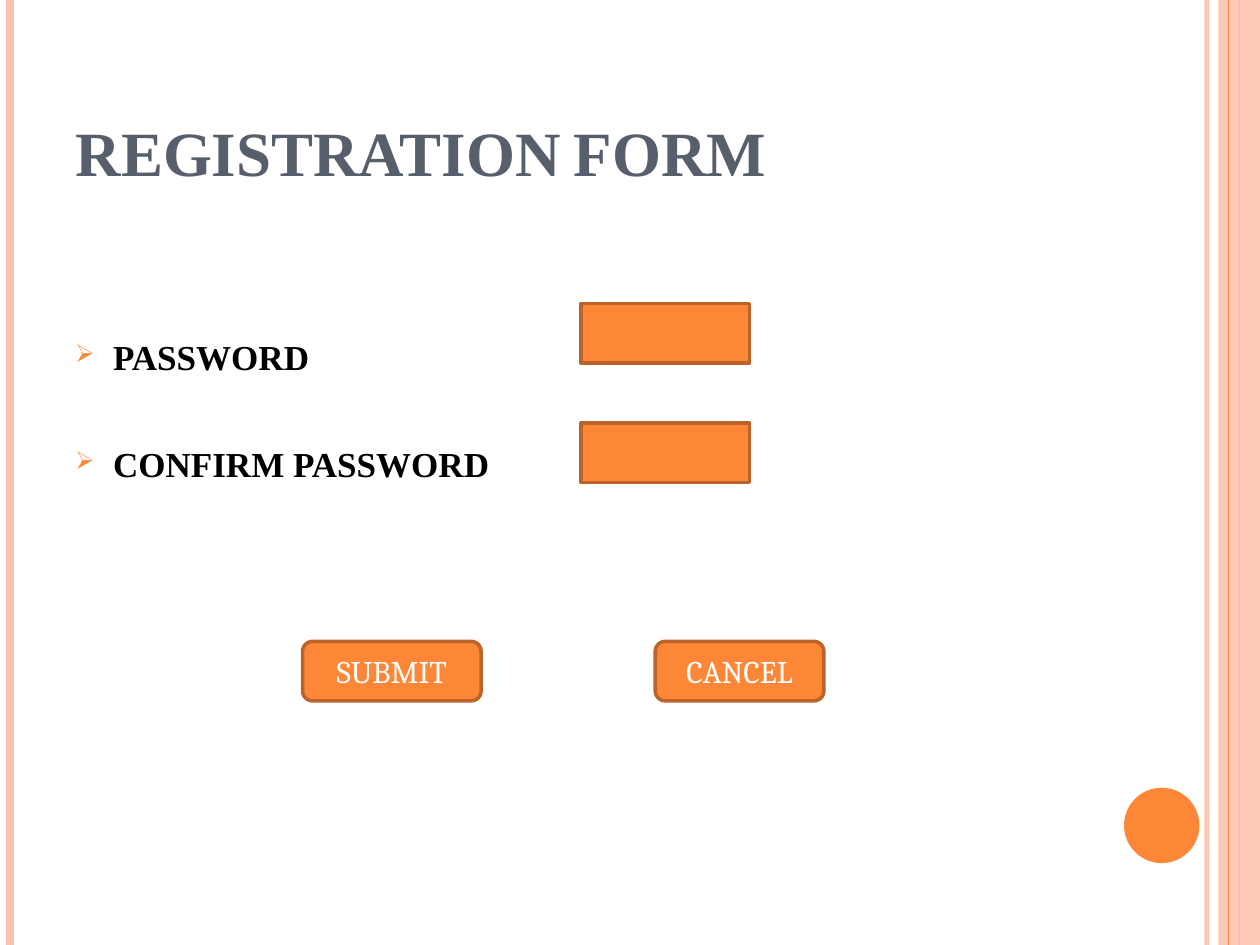
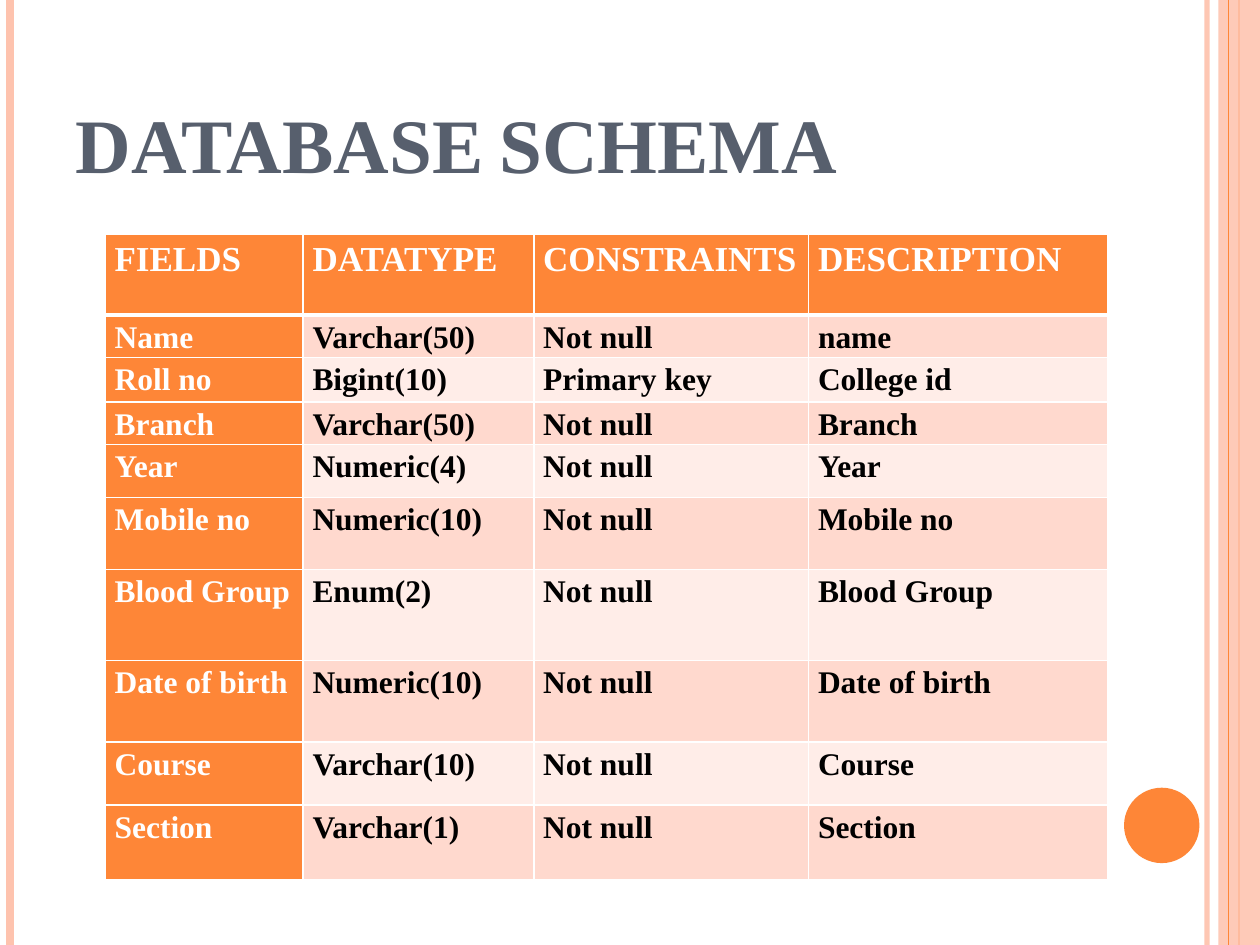
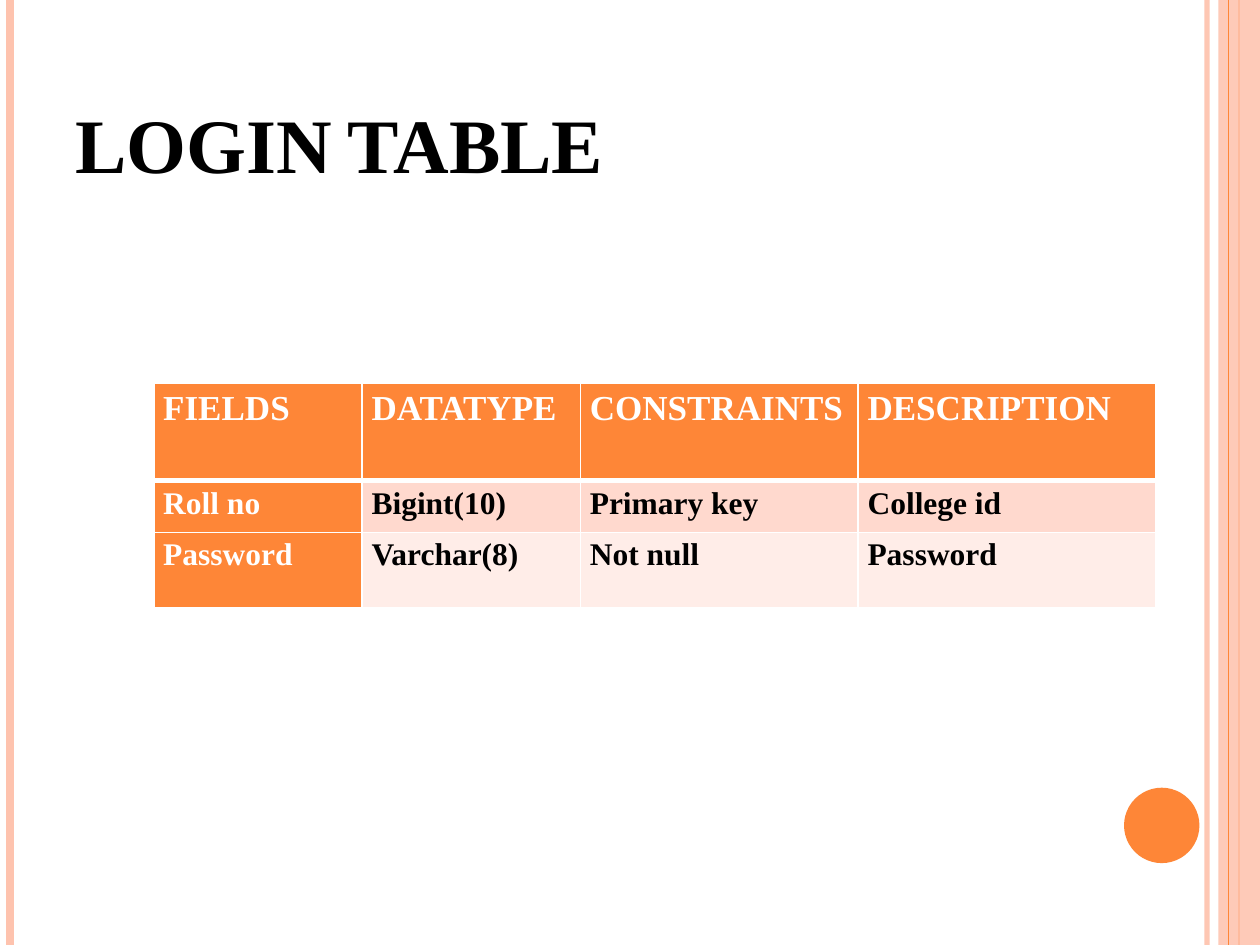
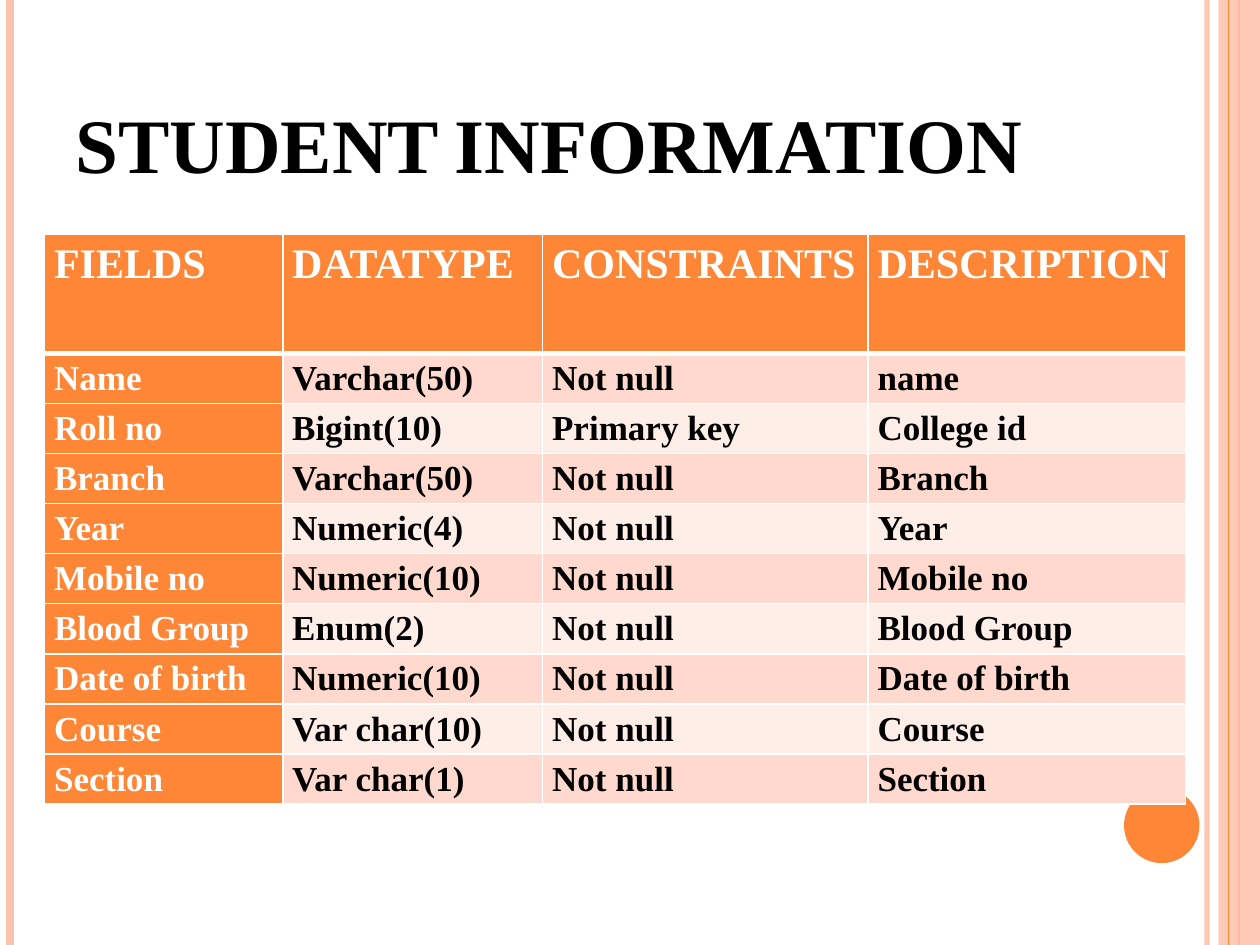
import pptx
import pptx.util
import pptx.dml.color
import pptx.enum.shapes
import pptx.enum.text
import pptx.oxml.ns
import lxml.etree

Cm = pptx.util.Cm
Pt = pptx.util.Pt
RGBColor = pptx.dml.color.RGBColor
SHAPE = pptx.enum.shapes.MSO_SHAPE
ALIGN = pptx.enum.text.PP_ALIGN
ANCHOR = pptx.enum.text.MSO_ANCHOR
qn = pptx.oxml.ns.qn

ORANGE = RGBColor(0xFE, 0x86, 0x37)
BROWN = RGBColor(0xBC, 0x63, 0x29)
PEACH = RGBColor(0xFE, 0xC3, 0xAE)
BAND_DARK = RGBColor(0xFF, 0xD9, 0xCE)
BAND_LIGHT = RGBColor(0xFF, 0xED, 0xE8)
SLATE = RGBColor(0x57, 0x5F, 0x6D)
BLACK = RGBColor(0, 0, 0)
WHITE = RGBColor(0xFF, 0xFF, 0xFF)

SERIF = "Times New Roman"
BUTTON_FONT = "Cambria"
PAGE_WIDTH, PAGE_HEIGHT = 25.4, 19.05

HEADINGS = ("FIELDS", "DATATYPE", "CONSTRAINTS", "DESCRIPTION")
ROLL_NUMBER = ("Roll no", "Bigint(10)", "Primary key", "College id")
STUDENT_FIELDS = [
    ("Name", "Varchar(50)", "Not null", "name"),
    ROLL_NUMBER,
    ("Branch", "Varchar(50)", "Not null", "Branch"),
    ("Year", "Numeric(4)", "Not null", "Year"),
    ("Mobile no", "Numeric(10)", "Not null", "Mobile no"),
    ("Blood Group", "Enum(2)", "Not null", "Blood Group"),
    ("Date of birth", "Numeric(10)", "Not null", "Date of birth"),
]

FORM_LABELS = ["PASSWORD", "CONFIRM PASSWORD"]
FORM_SHAPES = [
    (SHAPE.RECTANGLE, 11.71, 6.12, 3.4, ""),
    (SHAPE.RECTANGLE, 11.71, 8.53, 3.4, ""),
    (SHAPE.ROUNDED_RECTANGLE, 6.1, 12.93, 3.6, "SUBMIT"),
    (SHAPE.ROUNDED_RECTANGLE, 13.21, 12.93, 3.4, "CANCEL"),
]
FORM_SHAPE_HEIGHT = 1.2

TABLE_PAGES = [
    {
        "title": "DATABASE SCHEMA", "color": SLATE, "align": ALIGN.JUSTIFY,
        "left": 2.12, "top": 4.72, "sizes": (20, 18),
        "columns": (3.99, 4.65, 5.54, 6.03),
        "heights": (1.63, 0.86, 0.89, 0.86, 1.07, 1.45, 1.83, 1.65, 1.27, 1.5),
        "rows": STUDENT_FIELDS + [
            ("Course", "Varchar(10)", "Not null", "Course"),
            ("Section", "Varchar(1)", "Not null", "Section"),
        ],
    },
    {
        "title": "LOGIN TABLE", "color": BLACK, "align": None,
        "left": 3.1, "top": 7.73, "sizes": (20, 18),
        "columns": (4.2, 4.4, 5.6, 6),
        "heights": (1.96, 1.04, 1.52),
        "rows": [ROLL_NUMBER, ("Password", "Varchar(8)", "Not null", "Password")],
    },
    {
        "title": "STUDENT INFORMATION", "color": BLACK, "align": None,
        "left": 0.9, "top": 4.72, "sizes": (24, 20),
        "columns": (4.8, 5.24, 6.56, 6.4),
        "heights": (2.4,) + (1.01,) * 9,
        "rows": STUDENT_FIELDS + [
            ("Course", "Var char(10)", "Not null", "Course"),
            ("Section", "Var char(1)", "Not null", "Section"),
        ],
    },
]


def add_span(para, text, size, color, font=SERIF, bold=True):
    span = para.add_run()
    span.text = text
    span.font.size = Pt(size)
    span.font.name = font
    span.font.bold = bold
    span.font.color.rgb = color
    return span


def set_opacity(element, percent):
    color = next(element.iter(qn("a:srgbClr")))
    lxml.etree.SubElement(color, qn("a:alpha")).set("val", str(percent * 1000))


def add_shape(page, kind, left, top, width, height, fill):
    shape = page.shapes.add_shape(kind, Cm(left), Cm(top), Cm(width), Cm(height))
    shape.shadow.inherit = False
    shape.fill.solid()
    shape.fill.fore_color.rgb = fill
    shape.line.fill.background()
    return shape


def add_stripe(page, x, color, weight):
    stripe = page.shapes.add_connector(
        pptx.enum.shapes.MSO_CONNECTOR.STRAIGHT, Cm(x), Cm(0), Cm(x), Cm(PAGE_HEIGHT))
    stripe.line.color.rgb = color
    stripe.line.width = Pt(weight)
    lxml.etree.SubElement(stripe._element.spPr, qn("a:effectLst"))
    return stripe


def add_page(deck, title, size, color, align=None):
    page = deck.slides.add_slide(deck.slide_layouts[5])
    set_opacity(add_stripe(page, 24.33, PEACH, 3)._element.spPr, 93)
    add_stripe(page, 0.21, PEACH, 4.5)
    add_stripe(page, 24.98, ORANGE, 1.5)
    band = add_shape(page, SHAPE.RECTANGLE, 24.56, 0, PAGE_WIDTH - 24.56, PAGE_HEIGHT, PEACH)
    set_opacity(band._element.spPr, 87)
    add_stripe(page, 24.76, ORANGE, 0.75)
    add_shape(page, SHAPE.OVAL, 22.66, 15.88, 1.52, 1.52, ORANGE)

    box = page.shapes.title
    box.left, box.top, box.width, box.height = Cm(1.27), Cm(0.76), Cm(20.75), Cm(3.18)
    box.text_frame.auto_size = pptx.enum.text.MSO_AUTO_SIZE.NONE
    box.text_frame.vertical_anchor = ANCHOR.BOTTOM
    para = box.text_frame.paragraphs[0]
    para.alignment = align or ALIGN.LEFT
    span = add_span(para, title, size, color)
    span._r.get_or_add_rPr().set("cap", "small")
    return page


def add_bullet(para):
    properties = para._p.get_or_add_pPr()
    properties.set("marL", str(Cm(0.76)))
    properties.set("indent", str(-Cm(0.76)))
    color = lxml.etree.SubElement(properties, qn("a:buClr"))
    lxml.etree.SubElement(color, qn("a:srgbClr")).set("val", str(ORANGE))
    lxml.etree.SubElement(properties, qn("a:buSzPct")).set("val", "70000")
    lxml.etree.SubElement(properties, qn("a:buChar")).set("char", "➢")


def add_form(page):
    box = page.shapes.add_textbox(Cm(1.27), Cm(4.45), Cm(20.75), Cm(13.54))
    frame = box.text_frame
    frame.word_wrap = True
    frame.margin_top = Cm(2.32)
    for index, label in enumerate(FORM_LABELS):
        para = frame.add_paragraph() if index else frame.paragraphs[0]
        para.space_before = Pt(37 if index else 0)
        add_bullet(para)
        add_span(para, label, 20, BLACK)

    for kind, left, top, width, label in FORM_SHAPES:
        shape = add_shape(page, kind, left, top, width, FORM_SHAPE_HEIGHT, ORANGE)
        shape.line.color.rgb = BROWN
        shape.line.width = Pt(2)
        if label:
            shape.text_frame.vertical_anchor = ANCHOR.MIDDLE
            para = shape.text_frame.paragraphs[0]
            para.alignment = ALIGN.CENTER
            add_span(para, label, 18, WHITE, BUTTON_FONT, False)


def add_borders(cell, top, bottom):
    properties = cell._tc.get_or_add_tcPr()
    for side, weight in (("L", 1), ("R", 1), ("T", top), ("B", bottom)):
        line = lxml.etree.SubElement(properties, qn("a:ln" + side))
        line.set("w", str(Pt(weight)))
        fill = lxml.etree.SubElement(line, qn("a:solidFill"))
        lxml.etree.SubElement(fill, qn("a:srgbClr")).set("val", str(WHITE))


def add_field_table(page, content):
    rows = [HEADINGS] + content["rows"]
    columns, heights = content["columns"], content["heights"]
    heading_size, body_size = content["sizes"]
    table = page.shapes.add_table(
        len(rows), len(columns), Cm(content["left"]), Cm(content["top"]),
        Cm(sum(columns)), Cm(sum(heights))).table
    for column, width in zip(table.columns, columns):
        column.width = Cm(width)
    for row, height in zip(table.rows, heights):
        row.height = Cm(height)

    for row_index, row in enumerate(rows):
        for column_index, text in enumerate(row):
            cell = table.cell(row_index, column_index)
            cell.margin_left = cell.margin_right = Cm(0.19)
            cell.margin_top = cell.margin_bottom = 0
            add_borders(cell, 3 if row_index == 1 else 1, 3 if row_index == 0 else 1)
            accent = row_index == 0 or column_index == 0
            cell.fill.solid()
            band = BAND_DARK if row_index % 2 else BAND_LIGHT
            cell.fill.fore_color.rgb = ORANGE if accent else band
            para = cell.text_frame.paragraphs[0]
            para.line_spacing = 1.15
            add_span(para, text, body_size if row_index else heading_size,
                     WHITE if accent else BLACK)


def main():
    deck = pptx.Presentation()
    deck.slide_width, deck.slide_height = Cm(PAGE_WIDTH), Cm(PAGE_HEIGHT)
    add_form(add_page(deck, "REGISTRATION FORM", 36, SLATE))
    for content in TABLE_PAGES:
        page = add_page(deck, content["title"], 44, content["color"], content["align"])
        add_field_table(page, content)
    deck.save("out.pptx")


if __name__ == "__main__":
    main()
